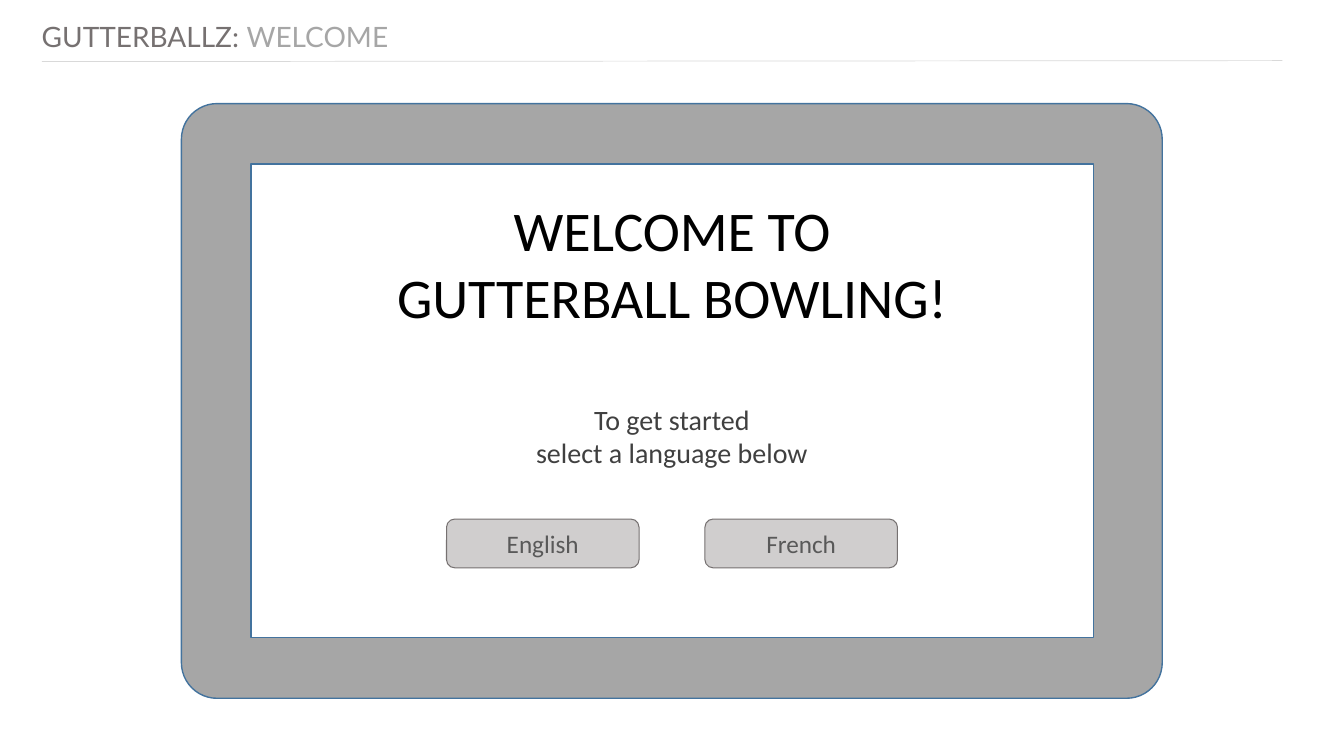
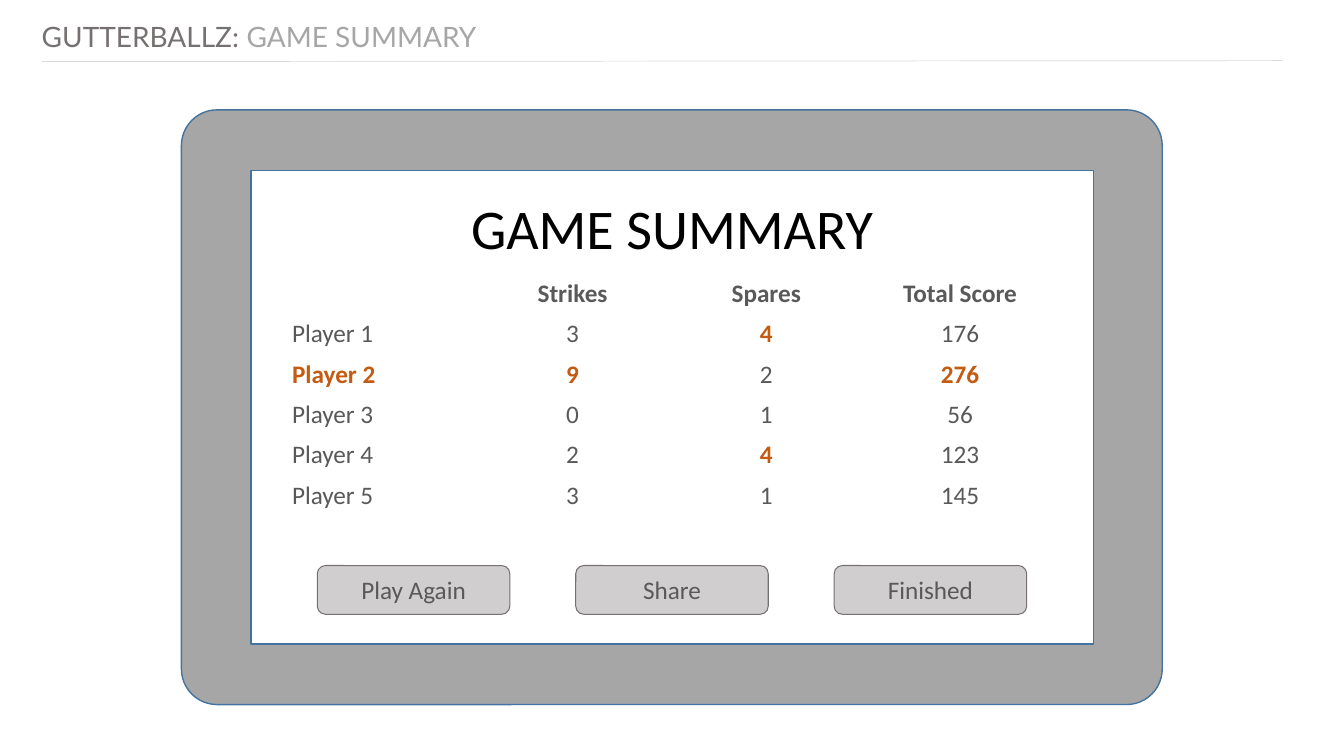
from lxml import etree
from pptx import Presentation
from pptx.dml.color import RGBColor
from pptx.enum.shapes import MSO_CONNECTOR, MSO_SHAPE
from pptx.enum.text import MSO_ANCHOR, MSO_AUTO_SIZE, PP_ALIGN
from pptx.oxml.ns import qn
from pptx.util import Pt

STRAIGHT = MSO_CONNECTOR.STRAIGHT
RECT, ROUNDED = MSO_SHAPE.RECTANGLE, MSO_SHAPE.ROUNDED_RECTANGLE
LEFT, CENTER = PP_ALIGN.LEFT, PP_ALIGN.CENTER
TOP, MIDDLE = MSO_ANCHOR.TOP, MSO_ANCHOR.MIDDLE

# Style: colours, fonts and sizes
BLACK = RGBColor(0x00, 0x00, 0x00)
WHITE = RGBColor(0xFF, 0xFF, 0xFF)
DARK = RGBColor(0x40, 0x40, 0x40)
TEXT = RGBColor(0x59, 0x59, 0x59)
GRAY = RGBColor(0x76, 0x71, 0x71)
SILVER = RGBColor(0xA6, 0xA6, 0xA6)
RULE = RGBColor(0xD9, 0xD9, 0xD9)
BUTTON = RGBColor(0xD0, 0xCE, 0xCE)
OUTLINE = RGBColor(0x43, 0x73, 0x9E)
ACCENT = RGBColor(0xC5, 0x5A, 0x11)
TITLE_FONT, BODY_FONT = "Lato", "Calibri"
HEADING, LEAD, BODY = 40, 20, 18

PAGE_WIDTH, PAGE_HEIGHT = 960, 540
BUTTON_WIDTH, BUTTON_HEIGHT, BUTTON_PITCH = 137.5, 34.8, 184.6


class Wireframe:
    """Holds the deck style and the current page."""

    def __init__(self):
        self.deck = Presentation()
        self.deck.slide_width = Pt(PAGE_WIDTH)
        self.deck.slide_height = Pt(PAGE_HEIGHT)
        self.page = None

    def span(self, para, text, size, color, font=BODY_FONT, bold=False):
        span = para.add_run()
        span.text = text
        span.font.size = Pt(size)
        span.font.name = font
        span.font.bold = bold
        span.font.color.rgb = color

    def new_page(self, section):
        """Page with its title and the rule under it."""
        self.page = self.deck.slides.add_slide(self.deck.slide_layouts[5])
        title = self.page.shapes.title
        title.left, title.top = Pt(29.8), Pt(10)
        title.width, title.height = Pt(437), Pt(31.5)
        frame = title.text_frame
        frame.auto_size = MSO_AUTO_SIZE.NONE
        frame.vertical_anchor = TOP
        frame.margin_left, frame.margin_right = 0, Pt(7.2)
        frame.margin_top = frame.margin_bottom = Pt(3.6)
        para = frame.paragraphs[0]
        para.alignment = LEFT
        self.span(para, "GUTTERBALLZ: ", LEAD, GRAY, TITLE_FONT)
        self.span(para, section, LEAD, SILVER, TITLE_FONT)
        self.line(30, 44, 916, 43.3)

    def line(self, x1, y1, x2, y2):
        line = self.page.shapes.add_connector(
            STRAIGHT, Pt(x1), Pt(y1), Pt(x2), Pt(y2))
        line.line.color.rgb = RULE
        line.line.width = Pt(0.5)
        etree.SubElement(line._element.spPr, qn("a:effectLst"))

    def shape(self, kind, left, top, width, height, fill, outline, weight):
        shape = self.page.shapes.add_shape(
            kind, Pt(left), Pt(top), Pt(width), Pt(height))
        shape.shadow.inherit = False
        shape.fill.solid()
        shape.fill.fore_color.rgb = fill
        shape.line.color.rgb = outline
        shape.line.width = Pt(weight)
        return shape

    def device(self, top):
        """Tablet body with its screen."""
        body = self.shape(ROUNDED, 129.6, top, 700.6, 424.8, SILVER, OUTLINE, 1)
        body.adjustments[0] = 0.06
        self.shape(RECT, 179.3, top + 43.2, 601.9, 338.4, WHITE, OUTLINE, 1)

    def text(self, lines, top, width, height, size, color):
        """Text box centred on the page, one paragraph a line."""
        box = self.page.shapes.add_textbox(
            Pt((PAGE_WIDTH - width) / 2), Pt(top), Pt(width), Pt(height))
        frame = box.text_frame
        frame.word_wrap = True
        for index, line in enumerate(lines):
            para = frame.add_paragraph() if index else frame.paragraphs[0]
            para.alignment = CENTER
            self.span(para, line, size, color)

    def buttons(self, labels, top):
        """Row of equal buttons centred on the page."""
        row_width = BUTTON_PITCH * (len(labels) - 1) + BUTTON_WIDTH
        start = (PAGE_WIDTH - row_width) / 2
        for index, label in enumerate(labels):
            button = self.shape(ROUNDED, start + index * BUTTON_PITCH, top,
                                BUTTON_WIDTH, BUTTON_HEIGHT, BUTTON, GRAY, 0.75)
            frame = button.text_frame
            frame.vertical_anchor = MIDDLE
            para = frame.paragraphs[0]
            para.alignment = CENTER
            self.span(para, label, BODY, TEXT)

    def table(self, rows, best, left, top, column_width, row_height):
        """Score table; the cells listed in best are highlighted."""
        columns = len(rows[0])
        table = self.page.shapes.add_table(
            len(rows), columns, Pt(left), Pt(top),
            Pt(column_width * columns), Pt(row_height * len(rows))).table
        table.horz_banding = False
        for r, row in enumerate(rows):
            for c, value in enumerate(row):
                cell = table.cell(r, c)
                cell.fill.solid()
                cell.fill.fore_color.rgb = WHITE
                if not value:
                    continue
                para = cell.text_frame.paragraphs[0]
                para.alignment = CENTER if c else LEFT
                marked = (r, c) in best
                self.span(para, value, BODY, ACCENT if marked else TEXT,
                          bold=marked or r == 0)


wireframe = Wireframe()

# Welcome
wireframe.new_page("WELCOME")
wireframe.device(74)
wireframe.text(["WELCOME TO", "GUTTERBALL BOWLING!"], 136, 409, 104.4,
               HEADING, BLACK)
wireframe.buttons(["English", "French"], 370.8)
wireframe.text(["To get started", "select a language below"], 283.7, 338.4,
               55.4, LEAD, DARK)

# Game summary
SCORES = [
    ["", "Strikes", "Spares", "Total Score"],
    ["Player 1", "3", "4", "176"],
    ["Player 2", "9", "2", "276"],
    ["Player 3", "0", "1", "56"],
    ["Player 4", "2", "4", "123"],
    ["Player 5", "3", "1", "145"],
]
BEST = {(1, 2), (2, 0), (2, 1), (2, 3), (4, 2)}

wireframe.new_page("GAME SUMMARY")
wireframe.device(78.5)
wireframe.text(["GAME SUMMARY"], 134.7, 601.9, 55.4, HEADING, BLACK)
wireframe.table(SCORES, BEST, 201.4, 195.2, 138.4, 28.8)
wireframe.buttons(["Play Again", "Share", "Finished"], 404)

wireframe.deck.save("out.pptx")
